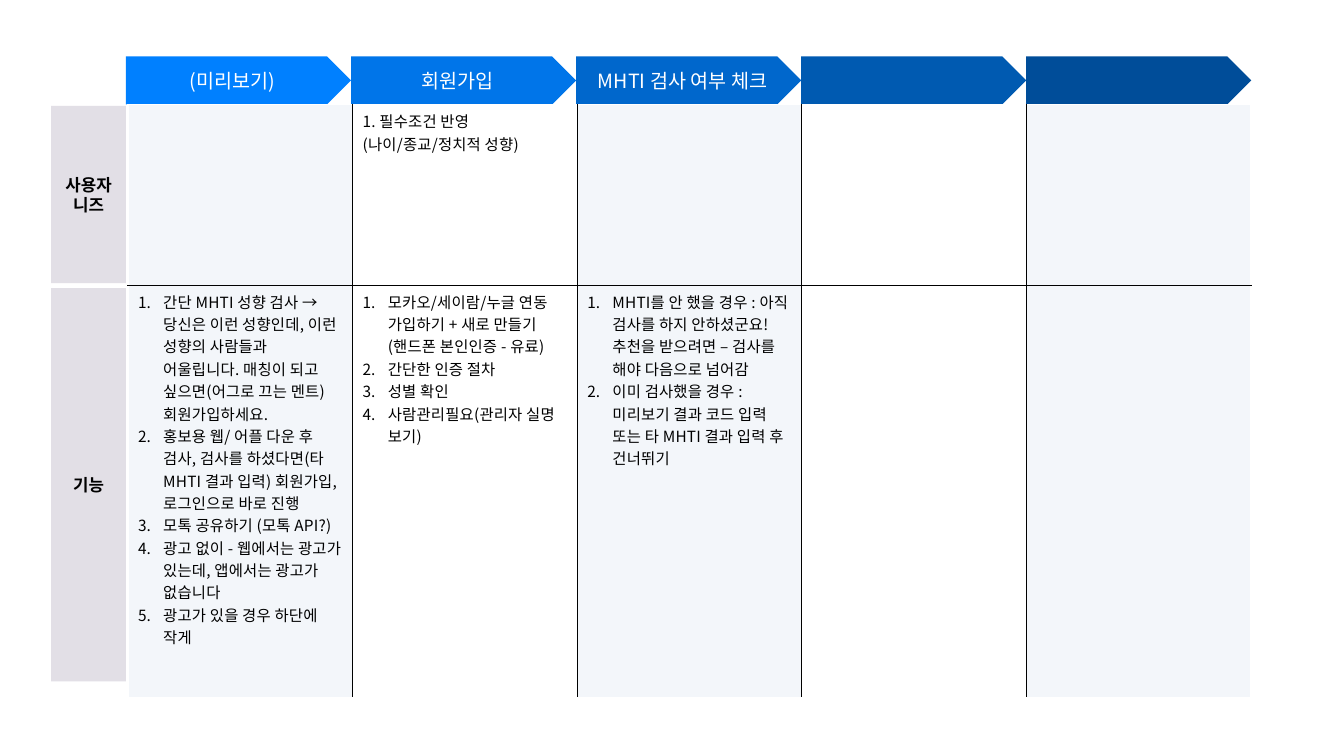
from dataclasses import dataclass

from lxml import etree
from pptx import Presentation
from pptx import util as u
from pptx.dml import color
from pptx.enum import shapes, text
from pptx.oxml import ns


@dataclass(frozen=True)
class Theme:
    font: str = "Noto Sans CJK KR"
    stages: tuple = ("0080FF", "0075E9", "0067CC", "005AB1", "004D99")
    label: str = "E2DFE6"
    tint: str = "F3F6FA"
    white: str = "FFFFFF"
    black: str = "000000"
    stage_size: float = 14
    label_size: float = 12
    body_size: float = 11
    body_spacing: str = "10"


THEME = Theme()
COLUMN = 160.45
STAGE_STEP = 160.75
ROWS = (128.9, 283)
STAGES = ("(미리보기)", "회원가입", "MHTI 검사 여부 체크", "", "")
LABELS = (
    (("사용자", "니즈"), 75.6, 126.7),
    (("기능",), 205.9, 280.8),
)
NEEDS = ("", "1. 필수조건 반영 (나이/종교/정치적 성향)", "", "", "")
FEATURES = (
    (
        "간단 MHTI 성향 검사 → 당신은 이런 성향인데, 이런 성향의 사람들과 "
        "어울립니다. 매칭이 되고 싶으면(어그로 끄는 멘트) 회원가입하세요.",
        "홍보용 웹/ 어플 다운 후 검사, 검사를 하셨다면(타 MHTI 결과 입력) "
        "회원가입, 로그인으로 바로 진행",
        "모톡 공유하기 (모톡 API?)",
        "광고 없이 - 웹에서는 광고가 있는데, 앱에서는 광고가 없습니다",
        "광고가 있을 경우 하단에 작게",
    ),
    (
        "모카오/세이람/누글 연동 가입하기 + 새로 만들기(핸드폰 본인인증 - 유료)",
        "간단한 인증 절차",
        "성별 확인",
        "사람관리필요(관리자 실명 보기)",
    ),
    (
        "MHTI를 안 했을 경우 : 아직 검사를 하지 안하셨군요! 추천을 "
        "받으려면 – 검사를 해야 다음으로 넘어감",
        "이미 검사했을 경우 : 미리보기 결과 코드 입력 또는 타 MHTI 결과 입력 후 건너뛰기",
    ),
    (),
    (),
)


def rgb(value):
    return color.RGBColor.from_string(value)


def apply(target, values):
    for name, value in values.items():
        setattr(target, name, value)


def paint(target, value):
    target.fill.solid()
    target.fill.fore_color.rgb = rgb(value)


def write(frame, lines, size, ink, bold=False, align=text.PP_ALIGN.LEFT, spacing="0"):
    for index, line in enumerate(lines):
        paragraph = frame.paragraphs[0] if index == 0 else frame.add_paragraph()
        paragraph.alignment = align
        run = paragraph.add_run()
        run.text = line
        apply(run.font, {"name": THEME.font, "size": u.Pt(size), "bold": bold})
        run.font.color.rgb = rgb(ink)
        run.font._element.set("spc", spacing)
        east_asian = etree.SubElement(run.font._element, ns.qn("a:ea"))
        east_asian.set("typeface", THEME.font)


def write_body(cell, lines):
    write(cell.text_frame, lines, THEME.body_size, THEME.black,
          spacing=THEME.body_spacing)


def add_block(slide, kind, box, fill, lines, size, ink, bold=False):
    shape = slide.shapes.add_shape(kind, *map(u.Pt, box))
    shape.shadow.inherit = False
    paint(shape, fill)
    shape.line.fill.background()
    apply(shape.text_frame, {
        "word_wrap": True, "vertical_anchor": text.MSO_ANCHOR.MIDDLE,
    })
    write(shape.text_frame, lines, size, ink, bold, text.PP_ALIGN.CENTER)


def number(paragraph):
    properties = paragraph._p.get_or_add_pPr()
    properties.set("marL", str(u.Pt(18)))
    properties.set("indent", str(u.Pt(-18)))
    bullet_font = etree.SubElement(properties, ns.qn("a:buFont"))
    bullet_font.set("typeface", "+mj-lt")
    bullet = etree.SubElement(properties, ns.qn("a:buAutoNum"))
    bullet.set("type", "arabicPeriod")


def border(cell, edges):
    properties = cell._tc.get_or_add_tcPr()
    for index, (side, inner) in enumerate(edges.items()):
        line = etree.Element(ns.qn(f"a:ln{side}"))
        line.set("w", str(u.Pt(0.5 if inner else 1)))
        fill = etree.SubElement(line, ns.qn("a:solidFill"))
        ink = etree.SubElement(fill, ns.qn("a:srgbClr"))
        ink.set("val", THEME.black if inner else THEME.white)
        properties.insert(index, line)


def add_journey_table(slide):
    count = len(STAGES)
    box = (91.4, 74.9, COLUMN * count, sum(ROWS))
    table = slide.shapes.add_table(len(ROWS), count, *map(u.Pt, box)).table
    apply(table, {"first_row": False, "horz_banding": False})
    for column in table.columns:
        column.width = u.Pt(COLUMN)
    for row, height in zip(table.rows, ROWS):
        row.height = u.Pt(height)
    for index in range(count):
        needs, features = table.cell(0, index), table.cell(1, index)
        for cell in (needs, features):
            cell.margin_right = u.Pt(7.7)
            paint(cell, THEME.white if index % 2 else THEME.tint)
            border(cell, {
                "L": index > 0, "R": index < count - 1,
                "T": cell is features, "B": cell is needs,
            })
        if NEEDS[index]:
            write_body(needs, [NEEDS[index]])
        if FEATURES[index]:
            write_body(features, FEATURES[index])
            for paragraph in features.text_frame.paragraphs:
                number(paragraph)


def main():
    presentation = Presentation()
    apply(presentation, {"slide_width": u.Pt(960), "slide_height": u.Pt(540)})
    slide = presentation.slides.add_slide(presentation.slide_layouts[6])
    for index, (stage, fill) in enumerate(zip(STAGES, THEME.stages)):
        box = (90 + index * STAGE_STEP, 40.3, 160.75, 34.3)
        add_block(slide, shapes.MSO_SHAPE.PENTAGON, box, fill,
                  [stage] if stage else [], THEME.stage_size, THEME.white)
    for lines, top, height in LABELS:
        add_block(slide, shapes.MSO_SHAPE.RECTANGLE, (36.6, top, 53.4, height),
                  THEME.label, lines, THEME.label_size, THEME.black, bold=True)
    add_journey_table(slide)
    presentation.save("out.pptx")


main()
